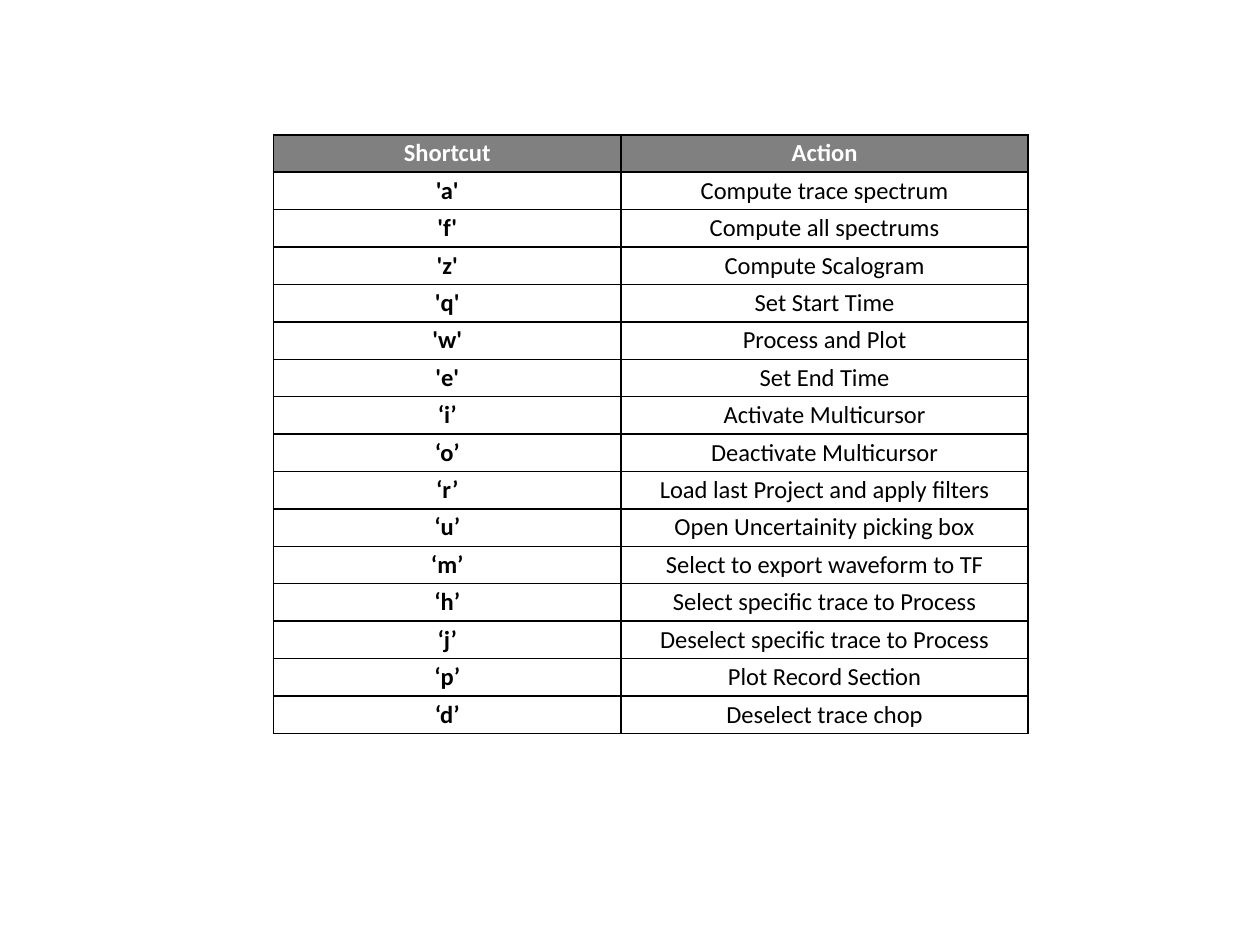
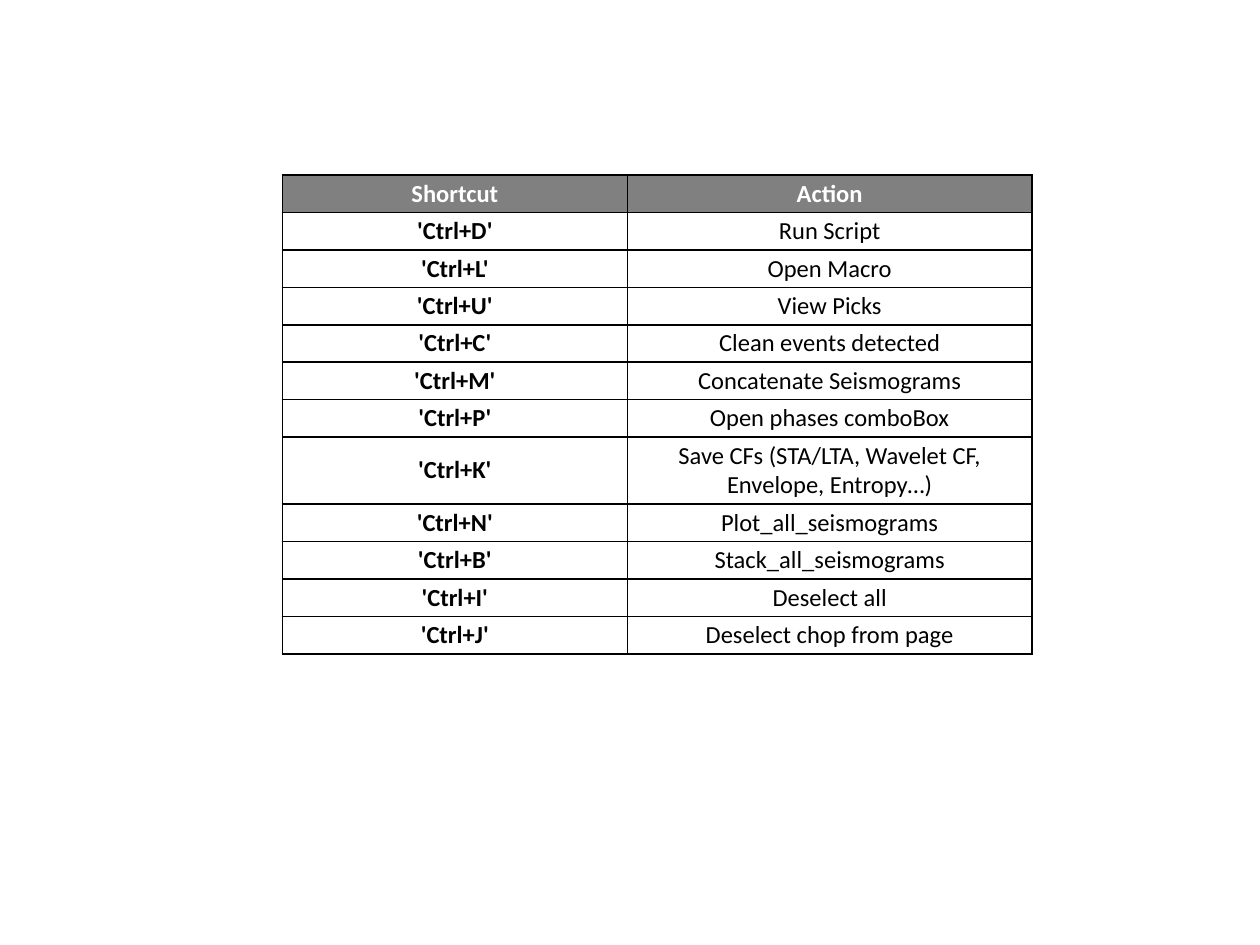
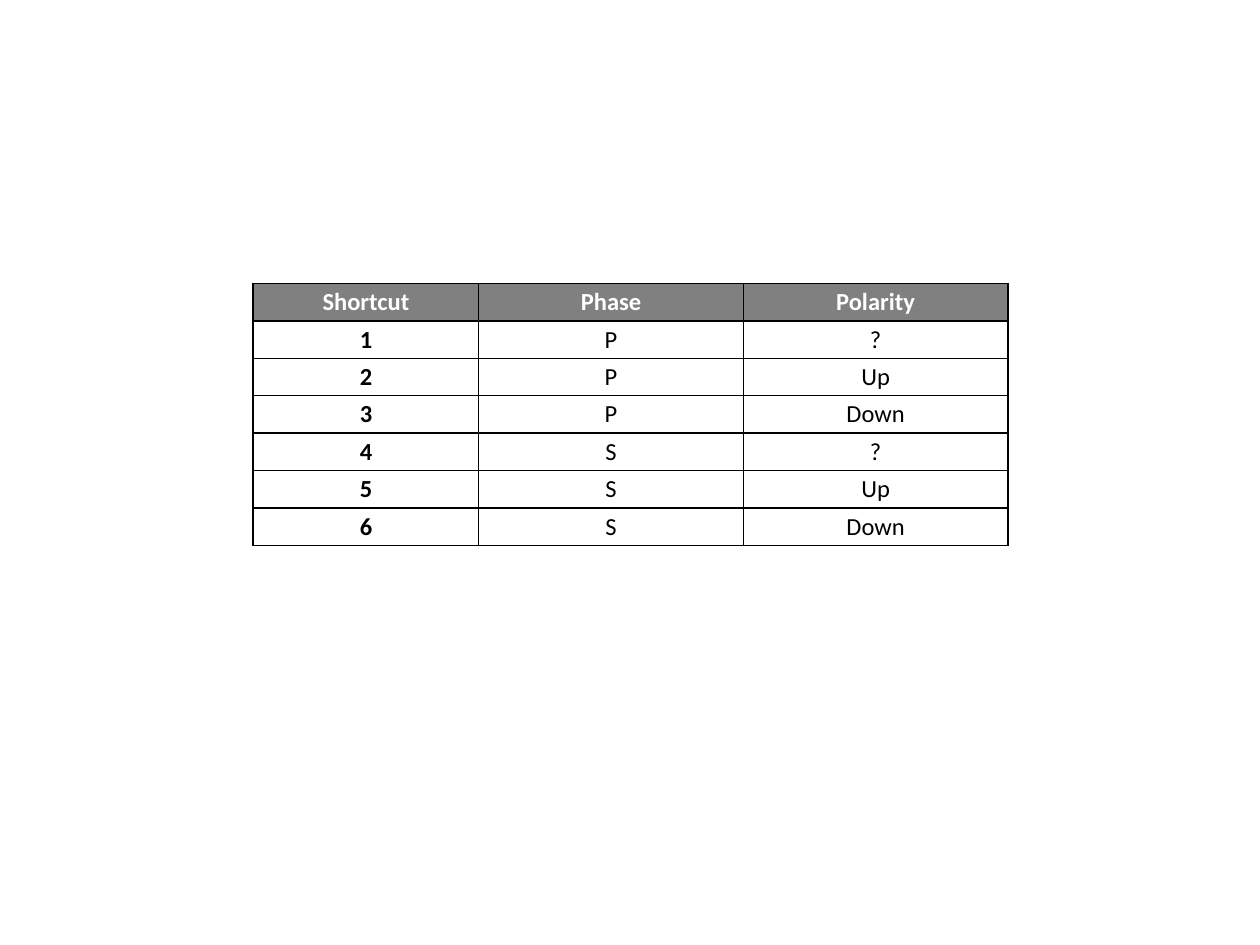
"""Build three slides of keyboard shortcut tables."""
from lxml import etree
from pptx import Presentation
from pptx.dml.color import RGBColor
from pptx.enum.text import MSO_ANCHOR, PP_ALIGN
from pptx.oxml.ns import qn
from pptx.util import Inches, Pt

CENTER = PP_ALIGN.CENTER
MIDDLE = MSO_ANCHOR.MIDDLE
FONT = "Calibri"
WHITE, BLACK, GRAY = "FFFFFF", "000000", "808080"
ROW_HEIGHT = 0.28
TALL_ROW_HEIGHT = 0.44
SIDES = ("a:lnL", "a:lnR", "a:lnT", "a:lnB")

KEY_ROWS = [
    ("Shortcut", "Action"),
    ("'a'", "Compute trace spectrum"),
    ("'f'", "Compute all spectrums"),
    ("'z'", "Compute Scalogram"),
    ("'q'", "Set Start Time"),
    ("'w'", "Process and Plot"),
    ("'e'", "Set End Time"),
    ("‘i’", "Activate Multicursor"),
    ("‘o’", "Deactivate Multicursor"),
    ("‘r’", "Load last Project and apply filters"),
    ("‘u’", "Open Uncertainity picking box"),
    ("‘m’", "Select to export waveform to TF"),
    ("‘h’", "Select specific trace to Process"),
    ("‘j’", "Deselect specific trace to Process"),
    ("‘p’", "Plot Record Section"),
    ("‘d’", "Deselect trace chop"),
]
CTRL_ROWS = [
    ("Shortcut", "Action"),
    ("'Ctrl+D'", "Run Script"),
    ("'Ctrl+L'", "Open Macro"),
    ("'Ctrl+U'", "View Picks"),
    ("'Ctrl+C'", "Clean events detected"),
    ("'Ctrl+M'", "Concatenate Seismograms"),
    ("'Ctrl+P'", "Open phases comboBox"),
    ("'Ctrl+K'", "Save CFs (STA/LTA, Wavelet CF, Envelope, Entropy…)"),
    ("'Ctrl+N'", "Plot_all_seismograms"),
    ("'Ctrl+B'", "Stack_all_seismograms"),
    ("'Ctrl+I'", "Deselect all"),
    ("'Ctrl+J'", "Deselect chop from page"),
]
PHASE_ROWS = [
    ("Shortcut", "Phase", "Polarity"),
    ("1", "P", "?"),
    ("2", "P", "Up"),
    ("3", "P", "Down"),
    ("4", "S", "?"),
    ("5", "S", "Up"),
    ("6", "S", "Down"),
]
TABLES = [
    (2.17, 1.07, (2.76, 3.23), KEY_ROWS),
    (2.24, 1.39, (2.74, 3.21), CTRL_ROWS),
    (2.01, 2.25, (1.79, 2.1, 2.1), PHASE_ROWS),
]


def color(value):
    return RGBColor.from_string(value)


def add_borders(cell):
    properties = cell._tc.get_or_add_tcPr()
    for side in SIDES:
        line = etree.SubElement(properties, qn(side), w=str(Pt(1)))
        fill = etree.SubElement(line, qn("a:solidFill"))
        etree.SubElement(fill, qn("a:srgbClr"), val=BLACK)


deck = Presentation()
deck.slide_width = Inches(10)
deck.slide_height = Inches(7.5)
blank_layout = deck.slide_layouts[6]

for left, top, widths, rows in TABLES:
    page = deck.slides.add_slide(blank_layout)
    table = page.shapes.add_table(
        len(rows), len(widths), Inches(left), Inches(top),
        Inches(sum(widths)), Inches(ROW_HEIGHT * len(rows))).table
    table.horz_banding = False
    for column, width in zip(table.columns, widths):
        column.width = Inches(width)
    for row_index, texts in enumerate(rows):
        is_header = row_index == 0
        is_tall = texts[0] == "'Ctrl+K'"
        table.rows[row_index].height = Inches(TALL_ROW_HEIGHT if is_tall else ROW_HEIGHT)
        for column_index, text in enumerate(texts):
            cell = table.cell(row_index, column_index)
            add_borders(cell)
            if is_header:
                cell.fill.solid()
                cell.fill.fore_color.rgb = color(GRAY)
            else:
                cell.fill.background()
            cell.margin_left = cell.margin_right = Inches(0.06)
            cell.margin_top = cell.margin_bottom = Inches(0.03)
            cell.vertical_anchor = MIDDLE
            cell.text = text
            para = cell.text_frame.paragraphs[0]
            para.alignment = CENTER
            para.font.name = FONT
            para.font.size = Pt(14)
            para.font.bold = is_header or column_index == 0
            para.font.color.rgb = color(WHITE if is_header else BLACK)

deck.save("out.pptx")
